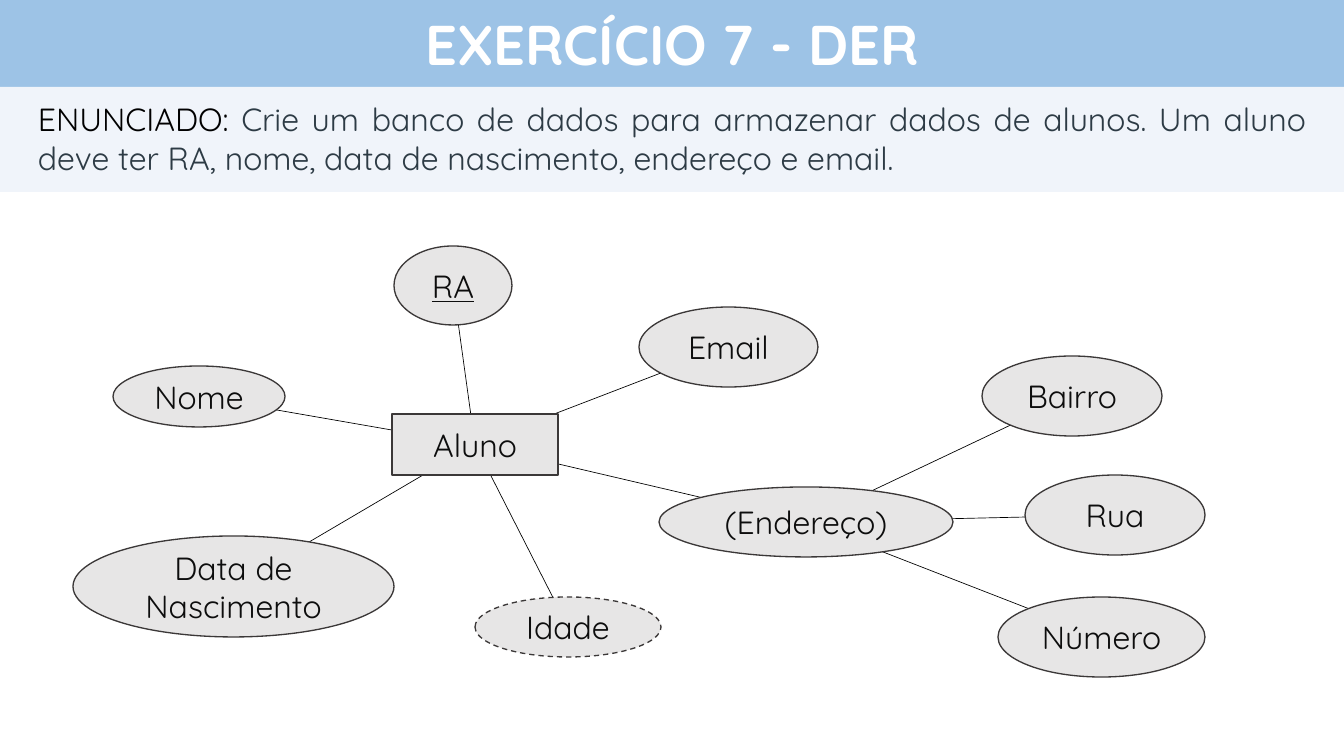
from pptx import Presentation
from pptx.dml.color import RGBColor
from pptx.enum.dml import MSO_LINE
from pptx.enum.shapes import MSO_CONNECTOR, MSO_SHAPE as SHAPE
from pptx.enum.text import MSO_ANCHOR as ANCHOR, MSO_AUTO_SIZE as FIT, PP_ALIGN as ALIGN
from pptx.oxml.ns import qn
from pptx.util import Pt
from lxml.etree import SubElement

PX = 9525
WIDTH, HEIGHT = 1344, 756

THEME = {
    "font": "Quicksand",
    "title": {"size": 42, "color": "FFFFFF", "bold": True},
    "lead": {"size": 24, "color": "000000"},
    "body": {"size": 24, "color": "2D3B45"},
    "node": {"size": 24, "color": "0D0D0D"},
    "key": {"size": 24, "color": "0D0D0D", "underline": True},
    "header_fill": "9DC3E6",
    "statement_fill": "F0F4FA",
    "node_fill": "E7E6E6",
    "node_line": "3B3838",
    "link": "000000",
}

TITLE = "EXERCÍCIO 7 - DER"
STATEMENT = [
    ("ENUNCIADO: ", "lead"),
    ("Crie um banco de dados para armazenar dados de alunos. Um aluno deve ter "
     "RA, nome, data de nascimento, endereço e email.", "body"),
]
HEADER_BOX = (0, 0, WIDTH, 87)
STATEMENT_BOX = (0, 87, WIDTH, 105)

NODES = {
    "Aluno": (392, 414, 166, 61),
    "(Endereço)": (659, 487, 294, 70),
    "Email": (639, 307, 179, 80),
    "RA": (394, 246, 118, 79),
    "Data de Nascimento": (73, 536, 321, 101),
    "Nome": (113, 366, 172, 61),
    "Idade": (475, 597, 186, 60),
    "Bairro": (982, 356, 180, 80),
    "Rua": (1025, 475, 180, 80),
    "Número": (998, 597, 207, 80),
}
ENTITY, KEY, DERIVED = "Aluno", "RA", "Idade"
LINKS = {
    "(Endereço)": ["Bairro", "Rua", "Número"],
    "Aluno": ["Data de Nascimento", "Nome", "RA", "Email", "(Endereço)", "Idade"],
}


def rgb(value):
    return RGBColor.from_string(value)


def center(name):
    x, y, w, h = NODES[name]
    return (x + w / 2, y + h / 2)


def emu(values):
    return [round(v * PX) for v in values]


def add_link(s, start, end):
    sp = s.shapes.add_connector(MSO_CONNECTOR.STRAIGHT, *emu(center(start) + center(end)))
    sp.line.color.rgb = rgb(THEME["link"])
    sp.line.width = Pt(0.5)
    SubElement(sp._element.spPr, qn("a:effectLst"))


def add_box(s, kind, box, fill, runs, align=ALIGN.CENTER, line=None):
    sp = s.shapes.add_shape(kind, *emu(box))
    sp.shadow.inherit = False
    sp.fill.solid()
    sp.fill.fore_color.rgb = rgb(THEME[fill])
    if line:
        sp.line.color.rgb = rgb(THEME[line])
        sp.line.width = Pt(1)
    else:
        sp.line.fill.background()
    tf = sp.text_frame
    tf.word_wrap = True
    p = tf.paragraphs[0]
    p.alignment = align
    for text, style in runs:
        r = p.add_run()
        r.text = text
        r.font.name = THEME["font"]
        for key, value in THEME[style].items():
            if key == "color":
                r.font.color.rgb = rgb(value)
            else:
                setattr(r.font, key, Pt(value) if key == "size" else value)
    return sp


def main():
    prs = Presentation()
    prs.slide_width, prs.slide_height = emu((WIDTH, HEIGHT))
    s = prs.slides.add_slide(prs.slide_layouts[6])

    for owner, attributes in LINKS.items():
        for attribute in attributes:
            add_link(s, attribute, owner)

    add_box(s, SHAPE.RECTANGLE, HEADER_BOX, "header_fill", [(TITLE, "title")])

    statement = add_box(s, SHAPE.RECTANGLE, STATEMENT_BOX, "statement_fill",
                        STATEMENT, ALIGN.JUSTIFY)
    tf = statement.text_frame
    frame = {"margin_left": 38 * PX, "margin_right": 38 * PX,
             "margin_top": 13 * PX, "margin_bottom": 13 * PX,
             "vertical_anchor": ANCHOR.TOP, "auto_size": FIT.SHAPE_TO_FIT_TEXT}
    for key, value in frame.items():
        setattr(tf, key, value)
    tf.paragraphs[0].space_after = Pt(16.8)

    for name, box in NODES.items():
        kind = SHAPE.RECTANGLE if name == ENTITY else SHAPE.OVAL
        style = "key" if name == KEY else "node"
        sp = add_box(s, kind, box, "node_fill", [(name, style)], line="node_line")
        if name == DERIVED:
            sp.line.dash_style = MSO_LINE.DASH

    prs.save("out.pptx")


if __name__ == "__main__":
    main()
